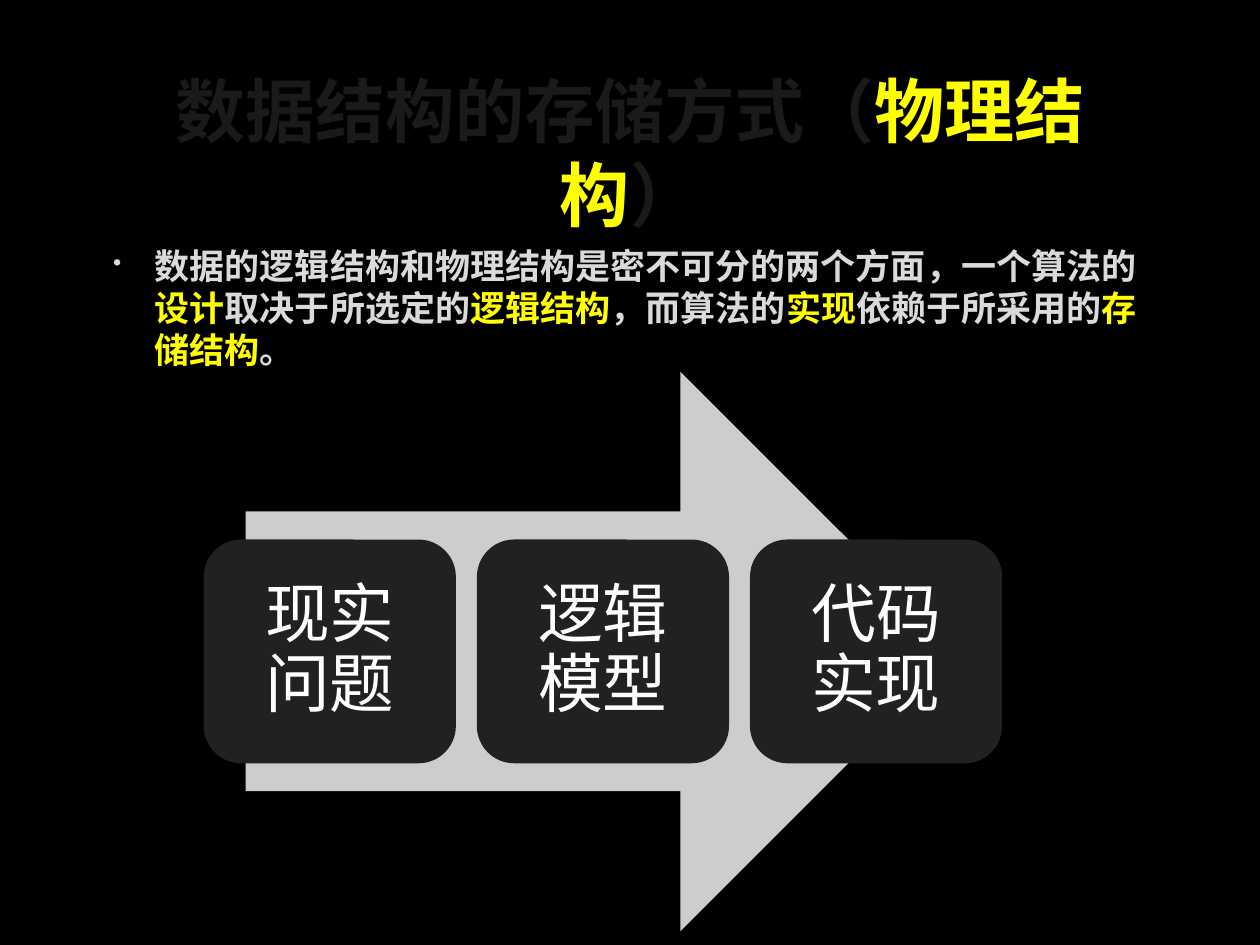
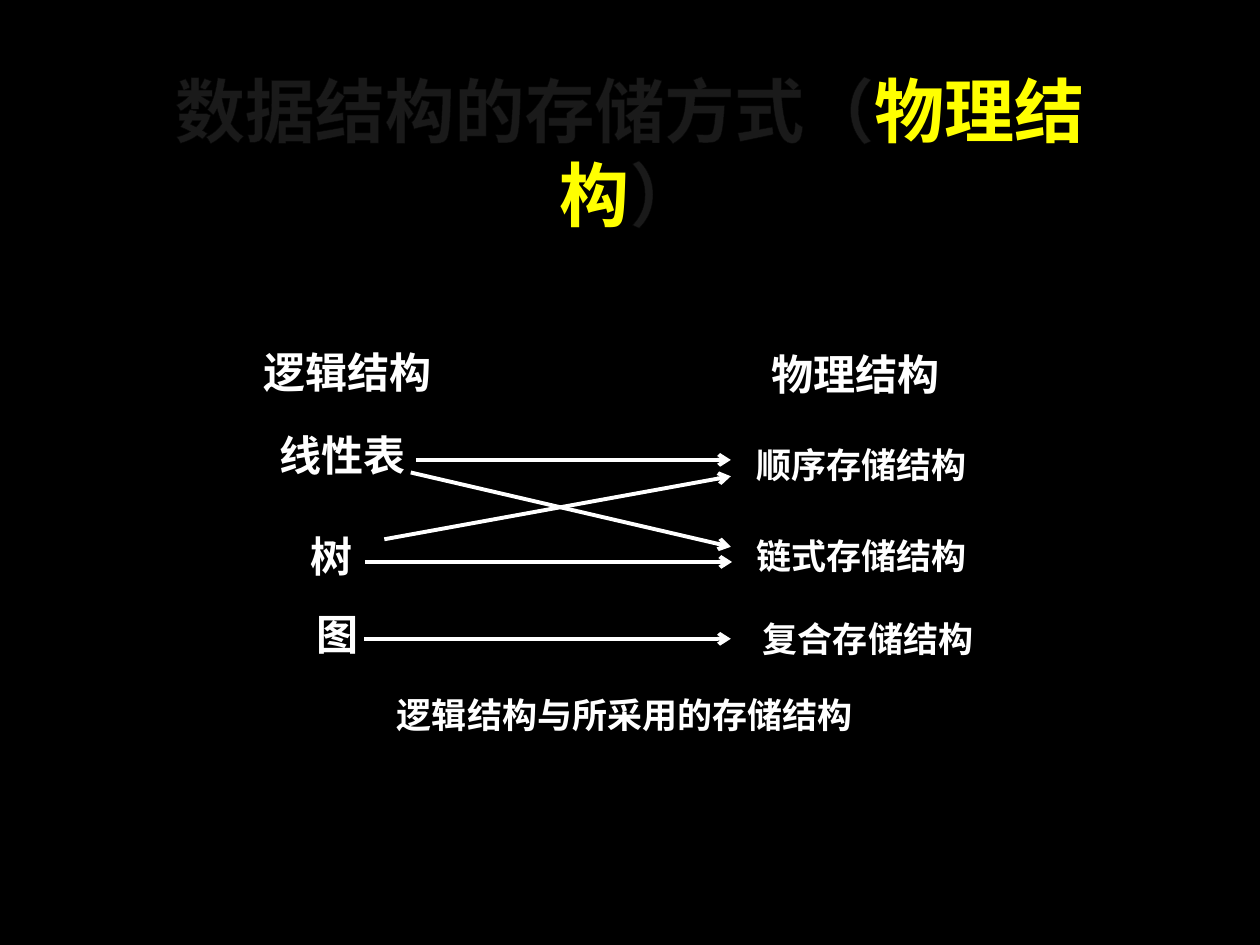
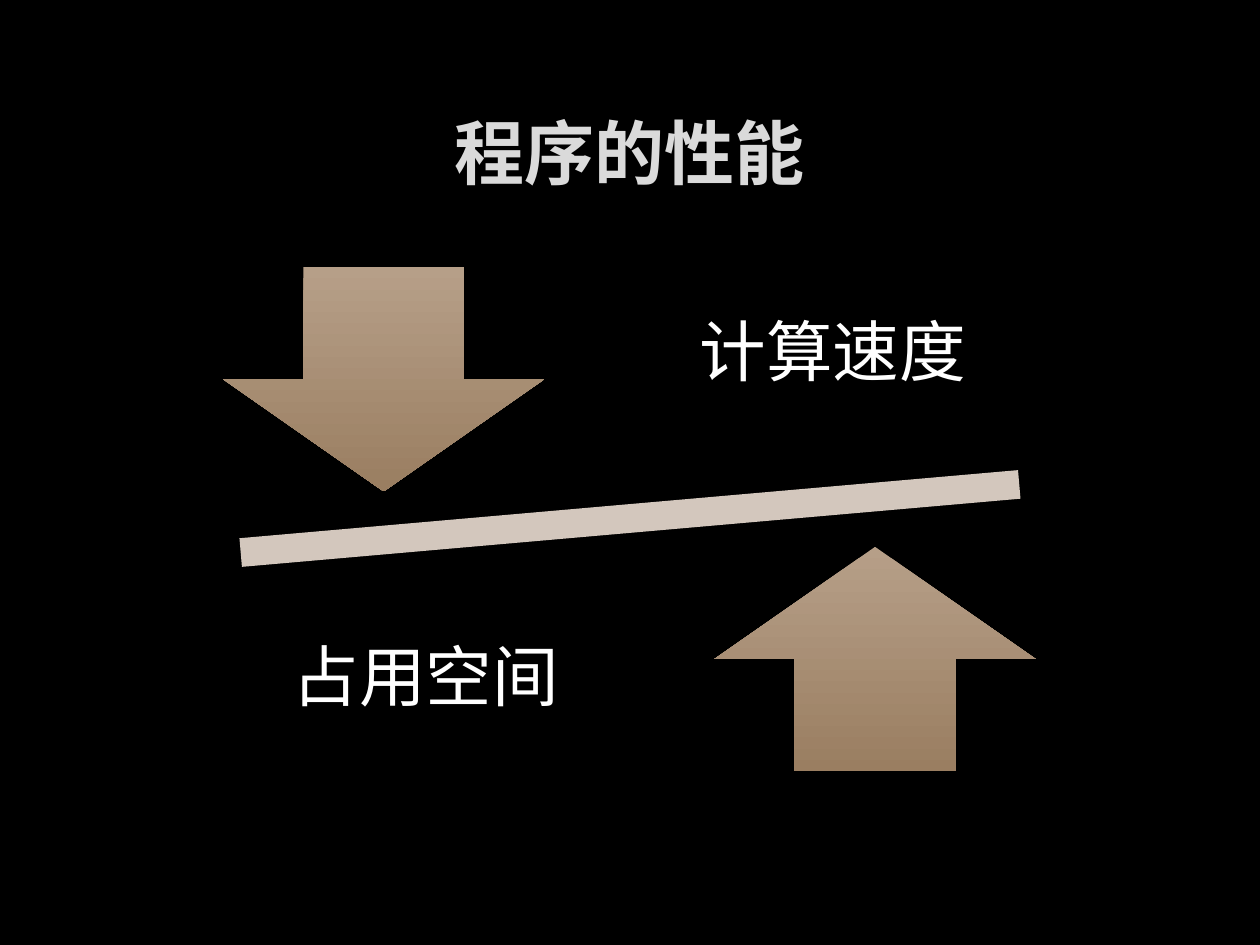
from dataclasses import dataclass

from lxml import etree
from pptx import Presentation
from pptx import util as u
from pptx.dml.color import RGBColor
from pptx.enum import shapes, text
from pptx.oxml import ns


@dataclass(frozen=True)
class Theme:
    """Colours, fonts and type sizes of the deck."""
    back: str = "000000"
    white: str = "FFFFFF"
    pale: str = "DADADA"
    key: str = "FFFF00"
    edge: str = "404040"
    arrow: str = "CDCDCD"
    card: str = "212123"
    beam: str = "D3C7BD"
    light: str = "B69F88"
    dark: str = "9A7E61"
    sans: str = "Noto Sans CJK SC"
    latin: str = "Calibri"
    serif: str = "Times New Roman"
    title: int = 40
    word: int = 38
    step: int = 37
    label: int = 24
    body: int = 20


T = Theme()
WIDE, HIGH = u.Inches(10), u.Inches(7.5)
COL, ROW = WIDE / 100, HIGH / 75
SHAPE = shapes.MSO_SHAPE


@dataclass(frozen=True)
class Box:
    """A region measured in columns and rows of the slide grid."""
    x: float
    y: float
    w: float
    h: float

    def sub(self, x, y, w, h):
        """Give a box offset from this one's corner."""
        return Box(self.x + x, self.y + y, w, h)

    def share(self, x, y, w, h):
        """Give a box in shares of this one's size."""
        return self.sub(x * self.w, y * self.h, w * self.w, h * self.h)

    def rect(self):
        """Give left, top, width and height as lengths."""
        return (round(self.x * COL), round(self.y * ROW),
                round(self.w * COL), round(self.h * ROW))


TITLE = Box(7.5, 6.7, 84.9, 10.6)
BODY = Box(7.5, 18.9, 84.9, 44.4)
FLOW = Box(14.5, 29.5, 66.7, 44.4)
MAP = Box(19.2, 27, 59.7, 31.8)
SCALE = Box(7.8, 18.9, 84.4, 44.4)


def rgb(tone):
    """Turn a hex string into a colour."""
    return RGBColor.from_string(tone)


def node(parent, tag, **attrs):
    """Add a drawing element below a parent."""
    return etree.SubElement(parent, ns.qn("a:" + tag), attrs)


def trim(run):
    """Give a run a faint outline."""
    props = run.font._element
    line = node(props, "ln", w="9525")
    tone = node(node(line, "solidFill"), "srgbClr", val=T.edge)
    node(tone, "alpha", val="10000")
    props.insert(0, line)


def write(shape, runs, size, face, bold=False, edge=False, mid=True, wrap=True):
    """Fill a shape with one paragraph of coloured runs."""
    frame = shape.text_frame
    frame.word_wrap = wrap
    frame.vertical_anchor = text.MSO_ANCHOR.MIDDLE if mid else text.MSO_ANCHOR.TOP
    para = frame.paragraphs[0]
    para.alignment = text.PP_ALIGN.CENTER if mid else text.PP_ALIGN.LEFT
    font = para.font
    font.size, font.name, font.bold = u.Pt(size), face, bold
    for words, tone in runs:
        run = para.add_run()
        run.text = words
        run.font.color.rgb = rgb(tone)
        if edge:
            trim(run)
    return para


def note(slide, box, runs, size, face, **opts):
    """Add a text box."""
    return write(slide.shapes.add_textbox(*box.rect()), runs, size, face, **opts)


def block(slide, kind, box, tone, end=None):
    """Add a plain shape, shaded from top to bottom if an end tone is given."""
    shape = slide.shapes.add_shape(kind, *box.rect())
    shape.shadow.inherit = False
    shape.line.fill.background()
    if end:
        shape.fill.gradient()
        shape.fill.gradient_angle = 270
        for stop, shade in zip(shape.fill.gradient_stops, (tone, end)):
            stop.color.rgb = rgb(shade)
    else:
        shape.fill.solid()
        shape.fill.fore_color.rgb = rgb(tone)
    return shape


def arrow(slide, box, start, end):
    """Draw an arrow between two points of a box."""
    ends = [box.sub(*spot, 0, 0).rect()[:2] for spot in (start, end)]
    line = slide.shapes.add_connector(shapes.MSO_CONNECTOR.STRAIGHT, *ends[0], *ends[1])
    line.line.color.rgb = rgb(T.white)
    line.line.width = u.Pt(2.25)
    node(line.line._get_or_add_ln(), "tailEnd", type="arrow")
    node(line._element.spPr, "effectLst")


def page(deck, runs, face=T.sans):
    """Add a dark slide with its title."""
    slide = deck.slides.add_slide(deck.slide_layouts[6])
    slide.background.fill.solid()
    slide.background.fill.fore_color.rgb = rgb(T.back)
    note(slide, TITLE, runs, T.title, face, bold=True, edge=True)
    return slide


def point(slide, box, runs):
    """Add a bulleted statement."""
    para = note(slide, box, runs, T.body, T.sans, bold=True, edge=True, mid=False)
    para.space_before, para.space_after = u.Pt(4), u.Pt(6)
    props = para._p.get_or_add_pPr()
    props.set("marL", str(u.Inches(0.38)))
    props.set("indent", str(u.Inches(-0.33)))
    marks = [etree.Element(ns.qn("a:" + tag)) for tag in ("buClr", "buSzPct", "buChar")]
    node(marks[0], "srgbClr", val=T.pale)
    marks[1].set("val", "70000")
    marks[2].set("char", "•")
    spot = props.index(props.find(ns.qn("a:defRPr")))
    props[spot:spot] = marks


def flow(slide, box, steps):
    """Lay cards in a row over a wide arrow."""
    block(slide, SHAPE.RIGHT_ARROW, box.share(0.075, 0, 0.85, 1), T.arrow)
    for i, step in enumerate(steps):
        cell = box.share(0.025 + 0.325 * i, 0.3, 0.3, 0.4)
        card = block(slide, SHAPE.ROUNDED_RECTANGLE, cell, T.card)
        frame = card.text_frame
        frame.margin_left = frame.margin_right = u.Inches(0.15)
        write(card, [(step, T.white)], T.step, T.latin).line_spacing = 0.9


def links(slide, box):
    """Map logical structures to the ways of storing them."""
    labels = [
        ("逻辑结构", 8.35, 2.5, T.label), ("物理结构", 48.7, 2.7, T.label),
        ("线性表", 7.95, 9.1, T.label), ("顺序存储结构", 49.2, 9.9, T.body),
        ("树", 7.15, 17.1, T.label), ("链式存储结构", 49.2, 17.1, T.body),
        ("图", 7.55, 23.3, T.label), ("复合存储结构", 49.7, 23.7, T.body),
    ]
    for words, x, y, size in labels:
        note(slide, box.sub(x - 10, y - 2.5, 20, 5), [(words, T.white)],
             size, T.serif, bold=True, wrap=False)
    note(slide, box.sub(5.4, 27.6, 50, 4.2), [("逻辑结构与所采用的存储结构", T.white)],
         T.body, T.sans, bold=True)
    for start, end in [
        ((13.8, 9.5), (38.8, 9.5)), ((13.4, 10.5), (38.8, 16.4)),
        ((11.3, 15.8), (38.8, 10.8)), ((9.7, 23.7), (38.8, 23.7)),
        ((9.8, 17.6), (38.9, 17.6)),
    ]:
        arrow(slide, box, start, end)


def scale(slide, box):
    """Weigh speed against space on a tilted beam."""
    beam = block(slide, SHAPE.MATH_MINUS, box.sub(0, 17.4, 84.4, 9.7), T.beam)
    beam.rotation = 355
    for kind, x, y in ((SHAPE.DOWN_ARROW, 9.9, 2.3), (SHAPE.UP_ARROW, 48.9, 24.5)):
        block(slide, kind, box.sub(x, y, 25.5, 17.8), T.light, T.dark)
    for words, x, y in (("计算速度", 44.7, 0), ("占用空间", 12.4, 25.8)):
        para = note(slide, box.sub(x, y, 27.2, 18.6), [(words, T.white)], T.word, T.sans)
        para.line_spacing = 0.9


def main():
    """Build the deck."""
    deck = Presentation()
    deck.slide_width, deck.slide_height = WIDE, HIGH
    head = [("数据结构的存储方式（", T.white), ("物理结构", T.key), ("）", T.white)]
    first = page(deck, head)
    point(first, BODY, [
        ("数据的逻辑结构和物理结构是密不可分的两个方面，一个算法的", T.pale),
        ("设计", T.key), ("取决于所选定的", T.pale), ("逻辑结构", T.key),
        ("，而算法的", T.pale), ("实现", T.key), ("依赖于所采用的", T.pale),
        ("存储结构", T.key), ("。", T.pale),
    ])
    flow(first, FLOW, ("现实问题", "逻辑模型", "代码实现"))
    links(page(deck, head), MAP)
    scale(page(deck, [("程序的性能", T.pale)], T.latin), SCALE)
    deck.save("out.pptx")


if __name__ == "__main__":
    main()
